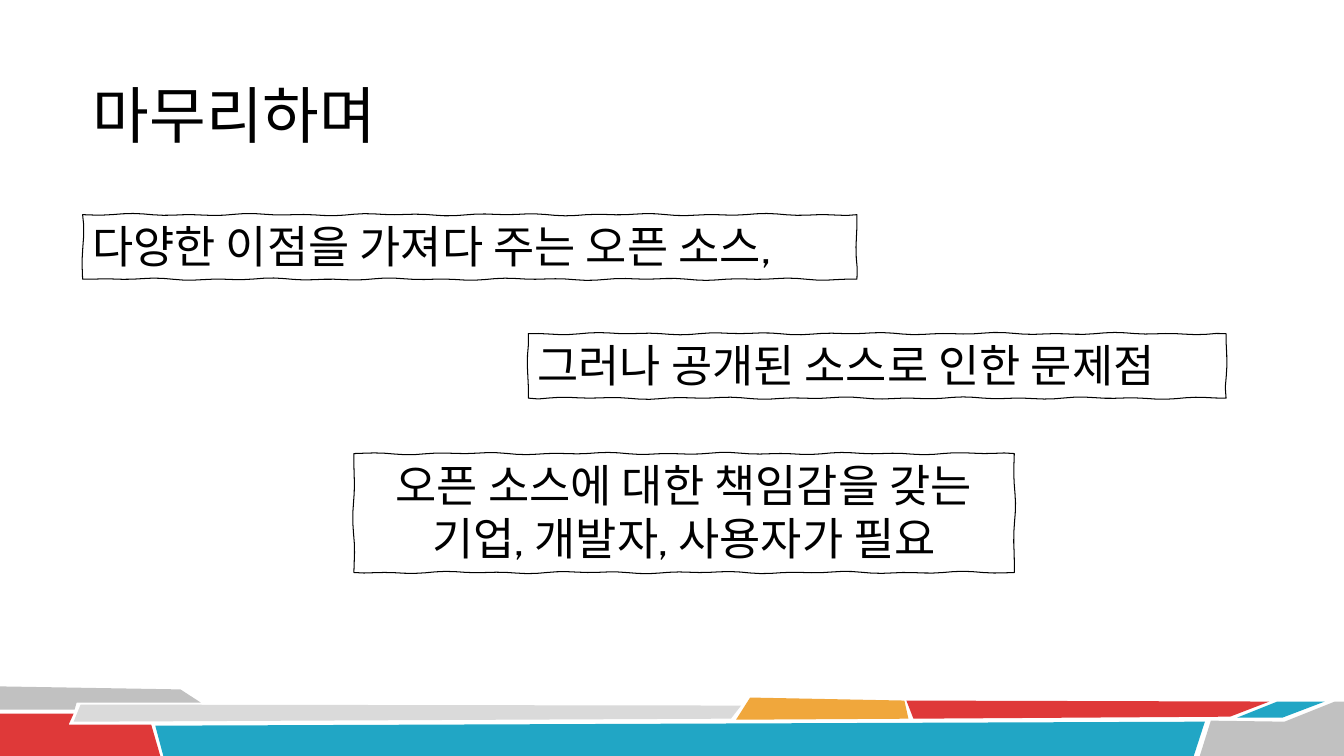
"""Build the closing slide: a title, three hand-drawn statement boxes and a coloured footer."""
from dataclasses import dataclass
from math import sin

from pptx import Presentation
from pptx.dml.color import RGBColor
from pptx.enum.text import MSO_ANCHOR, PP_ALIGN
from pptx.util import Inches, Pt


@dataclass(frozen=True)
class Theme:
    ink: RGBColor = RGBColor.from_string("000000")
    grey: RGBColor = RGBColor.from_string("C1C1C1")
    pale: RGBColor = RGBColor.from_string("DADADA")
    red: RGBColor = RGBColor.from_string("DF3939")
    blue: RGBColor = RGBColor.from_string("21A6C5")
    amber: RGBColor = RGBColor.from_string("F0A73C")
    title_font: str = "Calibri"
    body_font: str = "Cabin"
    title_size: int = 44
    body_size: int = 32


theme = Theme()


def add_outline(points):
    corners = [(Inches(x), Inches(y)) for x, y in points]
    builder = slide.shapes.build_freeform(*corners[0])
    builder.add_line_segments(corners[1:], close=True)
    outline = builder.convert_to_shape()
    outline.shadow.inherit = False
    return outline


def sketched_edge(start, end, wobble=0.012, step=0.1):
    (x0, y0), (x1, y1) = start, end
    length = abs(x1 - x0) + abs(y1 - y0)
    across, down = (y1 - y0) / length, (x1 - x0) / length
    count = round(length / step)
    edge = []
    for i in range(count):
        along = i / count
        drift = wobble * sin(8 * along * length + x0) * sin(3 * along * length)
        edge.append((x0 + along * (x1 - x0) + drift * across,
                     y0 + along * (y1 - y0) + drift * down))
    return edge


presentation = Presentation()
presentation.slide_width = Inches(13.33)
presentation.slide_height = Inches(7.5)
slide = presentation.slides.add_slide(presentation.slide_layouts[5])

footer_pieces = [
    (theme.grey, [(0, 6.81), (1.79, 6.84), (1.99, 6.97), (0.76, 6.97), (0.74, 7.04), (0, 7.04)]),
    (theme.red, [(0, 7.08), (0.73, 7.08), (0.68, 7.19), (1.5, 7.19), (1.59, 7.5), (0, 7.5)]),
    (theme.pale, [(0.8, 6.99), (7.35, 7), (7.25, 7.13), (0.73, 7.16)]),
    (theme.blue, [(1.54, 7.2), (11.95, 7.16), (11.84, 7.5), (1.62, 7.5)]),
    (theme.amber, [(7.44, 6.92), (8.97, 6.95), (9.01, 7.13), (7.3, 7.14)]),
    (theme.red, [(8.99, 6.95), (12.59, 6.96), (12.2, 7.11), (9.06, 7.13)]),
    (theme.blue, [(12.67, 6.96), (13.14, 6.96), (12.72, 7.12), (12.27, 7.12)]),
    (theme.grey, [(12.01, 7.15), (12.74, 7.16), (13.24, 6.96), (13.33, 6.96), (13.33, 7.5), (11.9, 7.5)]),
]
for colour, corners in footer_pieces:
    piece = add_outline(corners)
    piece.fill.solid()
    piece.fill.fore_color.rgb = colour
    piece.line.fill.background()

heading = slide.shapes.title
heading.left, heading.top = Inches(0.82), Inches(0.69)
heading.width, heading.height = Inches(9.24), Inches(0.88)
heading.text_frame.text = "마무리하며"
heading.text_frame.vertical_anchor = MSO_ANCHOR.MIDDLE
heading_line = heading.text_frame.paragraphs[0]
heading_line.alignment = PP_ALIGN.LEFT
heading_line.font.name = theme.title_font
heading_line.font.size = Pt(theme.title_size)
heading_line.font.color.rgb = theme.ink

statements = [
    (0.82, 2.13, 7.68, 0.64, PP_ALIGN.LEFT, "다양한 이점을 가져다 주는 오픈 소스,"),
    (5.24, 3.31, 6.92, 0.64, PP_ALIGN.LEFT, "그러나 공개된 소스로 인한 문제점"),
    (3.51, 4.5, 6.55, 1.18, PP_ALIGN.CENTER, "오픈 소스에 대한 책임감을 갖는 기업, 개발자, 사용자가 필요"),
]
for left, top, width, height, alignment, wording in statements:
    right, bottom = left + width, top + height
    corners = [(left, top), (right, top), (right, bottom), (left, bottom)]
    sketch = []
    for start, end in zip(corners, corners[1:] + corners[:1]):
        sketch += sketched_edge(start, end)
    statement = add_outline(sketch)
    statement.fill.background()
    statement.line.color.rgb = theme.ink
    statement.line.width = Pt(0.75)
    statement.text_frame.word_wrap = True
    statement.text_frame.vertical_anchor = MSO_ANCHOR.TOP
    statement.text_frame.text = wording
    sentence = statement.text_frame.paragraphs[0]
    sentence.alignment = alignment
    sentence.font.name = theme.body_font
    sentence.font.size = Pt(theme.body_size)
    sentence.font.color.rgb = theme.ink

presentation.save("out.pptx")
